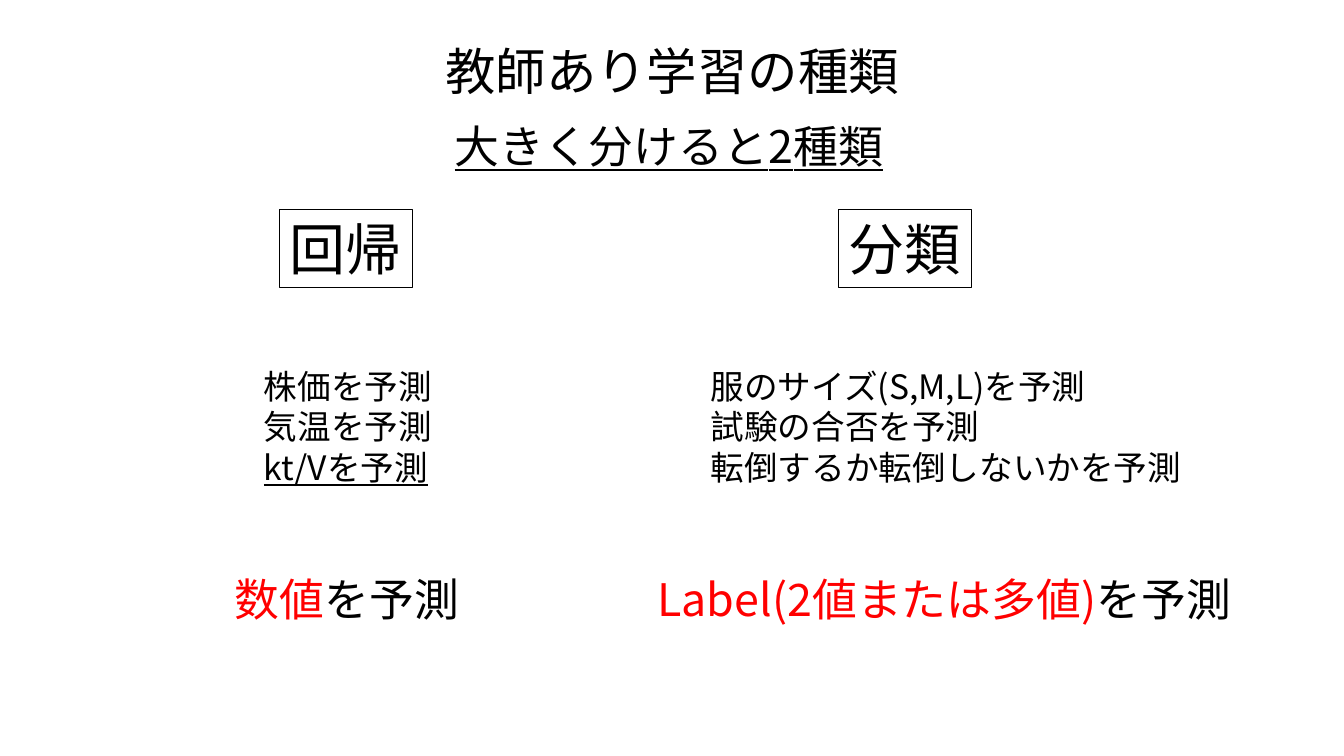
from lxml import etree
from pptx import Presentation
from pptx.dml.color import RGBColor
from pptx.enum.shapes import MSO_SHAPE
from pptx.enum.text import MSO_AUTO_SIZE, PP_ALIGN
from pptx.oxml.ns import qn
from pptx.util import Inches, Pt

FONT = "Noto Sans CJK JP"
COLORS = {"ink": "000000", "accent": "FF0000"}


def write_line(para, spans, size, underline=False):
    """Write (text, colour) spans into one paragraph."""
    para.font.name = FONT
    para.font.size = Pt(size)
    if underline:
        para.font.underline = True
    # East Asian text needs its own typeface entry
    defaults = para._p.find(".//" + qn("a:defRPr"))
    etree.SubElement(defaults, qn("a:ea")).set("typeface", FONT)
    for text, color in spans:
        span = para.add_run()
        span.text = text
        span.font.color.rgb = RGBColor.from_string(COLORS[color])


def add_text(left, top, width, height, lines, size, underlined=(), framed=False):
    """Add a text box or framed rectangle with one paragraph per line."""
    area = [Inches(value) for value in (left, top, width, height)]
    if framed:
        box = page.shapes.add_shape(MSO_SHAPE.RECTANGLE, *area)
        box.shadow.inherit = False
        box.fill.background()
        box.line.color.rgb = RGBColor.from_string(COLORS["ink"])
        box.line.width = Pt(0.75)
    else:
        box = page.shapes.add_textbox(*area)
    frame = box.text_frame
    frame.word_wrap = False
    frame.auto_size = MSO_AUTO_SIZE.SHAPE_TO_FIT_TEXT
    for index, spans in enumerate(lines):
        para = frame.paragraphs[0] if index == 0 else frame.add_paragraph()
        para.alignment = PP_ALIGN.LEFT
        write_line(para, spans, size, index in underlined)
    return box


deck = Presentation()
deck.slide_width = Inches(13.33)
deck.slide_height = Inches(7.5)
page = deck.slides.add_slide(deck.slide_layouts[6])

# Title
title = add_text(4.29, 0.35, 4.75, 0.71, [[("教師あり学習の種類", "ink")]], 36)
title.text_frame.paragraphs[0].alignment = PP_ALIGN.CENTER

# Framed names of the two kinds
for left, name in ((2.77, "回帰"), (8.32, "分類")):
    add_text(left, 2.08, 1.32, 0.77, [[(name, "ink")]], 40, framed=True)

# Subtitle
add_text(4.41, 1.13, 4.52, 0.64, [[("大きく分けると2種類", "ink")]], 32, underlined=(0,))

# Examples of each kind
examples = (
    (2.52, 1.93, ("株価を予測", "気温を予測", "kt/Vを予測"), (2,)),
    (6.95, 4.91, ("服のサイズ(S,M,L)を予測", "試験の合否を予測",
                  "転倒するか転倒しないかを予測"), ()),
)
for left, width, texts, underlined in examples:
    lines = [[(text, "ink")] for text in texts]
    add_text(left, 3.58, width, 1.31, lines, 24, underlined)

# What each kind predicts
for left, width, target in ((2.23, 2.45, "数値"), (6.42, 6.07, "Label(2値または多値)")):
    add_text(left, 5.62, width, 0.64, [[(target, "accent"), ("を予測", "ink")]], 32)

deck.save("out.pptx")
